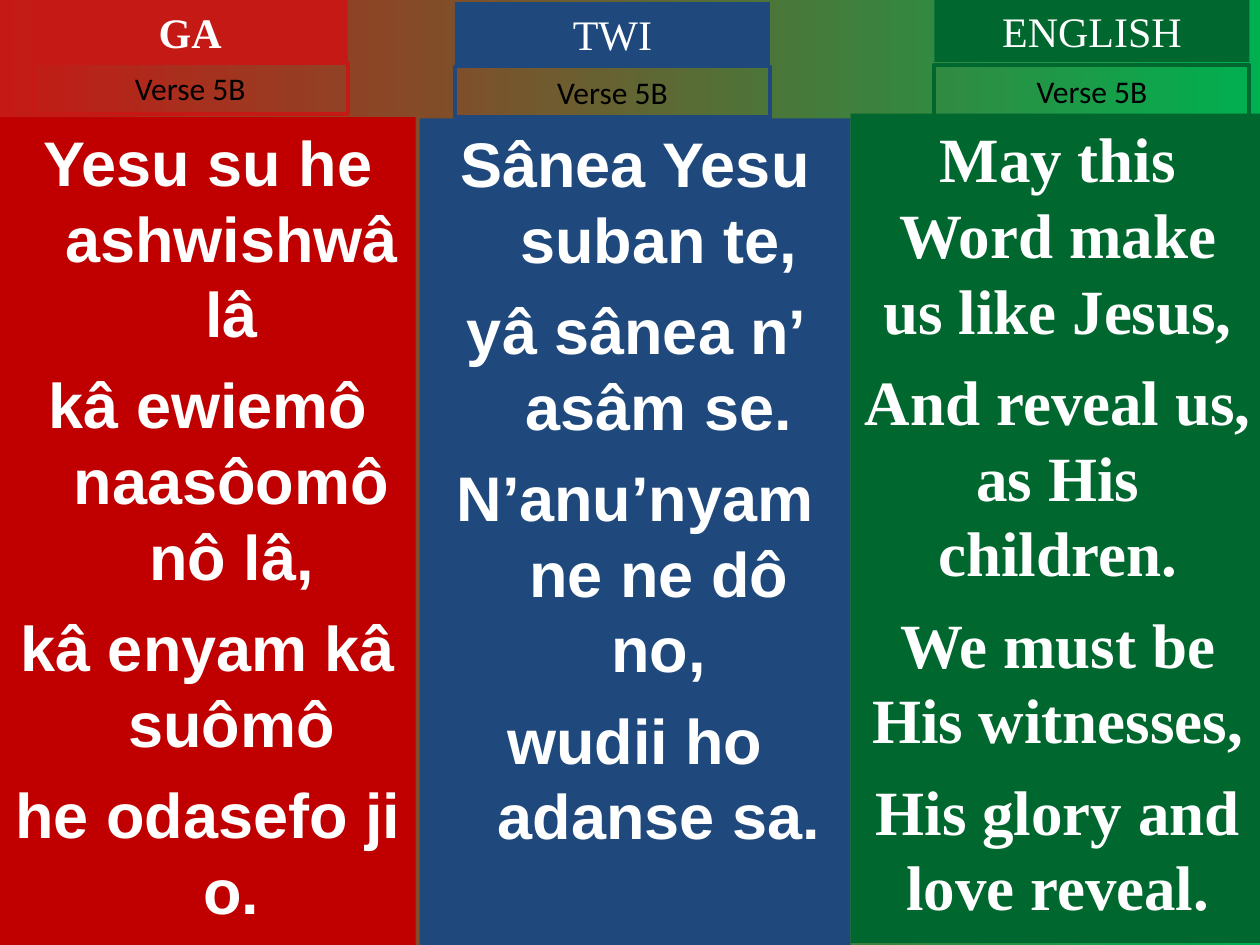
"""Build a hymn slide with one verse in Ga, Twi and English columns."""
from dataclasses import dataclass

from pptx import Presentation
from pptx.dml.color import RGBColor
from pptx.enum.shapes import MSO_SHAPE
from pptx.enum.text import MSO_ANCHOR, MSO_AUTO_SIZE, PP_ALIGN
from pptx.shapes.autoshape import Shape
from pptx.slide import Slide
from pptx.util import Pt

RECTANGLE = MSO_SHAPE.RECTANGLE
TOP = MSO_ANCHOR.TOP
FIT_SHAPE = MSO_AUTO_SIZE.SHAPE_TO_FIT_TEXT
CENTER = PP_ALIGN.CENTER

COLORS = {
    "scarlet": "C51915",
    "red": "C00000",
    "blue": "1F497D",
    "green": "00682F",
    "bright green": "00B050",
    "white": "FFFFFF",
    "black": "000000",
}
BLANK_LAYOUT = 6
LABEL_WIDTH = 180
HEADER_HEIGHT = 36
VERSE_HEIGHT = 29
HANGING_INDENT = 27
VERSE_NAME = "Verse 5B"


@dataclass(frozen=True)
class Box:
    left: float
    top: float
    width: float
    height: float


@dataclass(frozen=True)
class TextStyle:
    font: str
    size: float
    color: str = "white"
    bold: bool = False
    hanging: float = 0
    space_before: float = 0


@dataclass(frozen=True)
class Column:
    language: str
    panel: Box
    panel_color: str
    label_color: str
    label_left: float
    header_top: float
    verse_top: float
    header_style: TextStyle
    lyric_style: TextStyle
    lyrics: tuple[str, ...]


HEADER = TextStyle("Times New Roman", 24)
BOLD_HEADER = TextStyle("Times New Roman", 24, bold=True)
VERSE = TextStyle("Calibri", 18, "black")
HANGING_LYRIC = TextStyle("Arial", 36, "white", True, HANGING_INDENT, 9)
PLAIN_LYRIC = TextStyle("Times New Roman", 36, "white", True, 0, 9)

COLUMNS = (
    Column("GA", Box(0, 67, 237.6, 473), "red", "scarlet", 18.7, 0, 36,
           BOLD_HEADER, HANGING_LYRIC,
           ("Yesu su he ashwishwâ lâ", "kâ ewiemô naasôomô nô lâ,",
            "kâ enyam kâ suômô", "he odasefo ji o.")),
    Column("TWI", Box(239.8, 67.7, 246.2, 472.3), "blue", "blue", 260, 1.2, 38,
           HEADER, HANGING_LYRIC,
           ("Sânea Yesu suban te,", "yâ sânea n’ asâm se.",
            "N’anu’nyam ne ne dô no,", "wudii ho adanse sa.")),
    Column("ENGLISH", Box(486, 65, 236.9, 473.8), "green", "green", 534, -0.6, 37.4,
           HEADER, PLAIN_LYRIC,
           ("May this Word make us like Jesus,", "And reveal us, as His children.",
            "We must be His witnesses,", "His glory and love reveal.")),
)


def rgb(name: str) -> RGBColor:
    """Return the named colour."""
    return RGBColor.from_string(COLORS[name])


def add_box(slide: Slide, box: Box, fill: str | None = None,
            outline: str | None = None) -> Shape:
    """Add a rectangle that is either filled or outlined."""
    shape = slide.shapes.add_shape(
        RECTANGLE, Pt(box.left), Pt(box.top), Pt(box.width), Pt(box.height))
    shape.shadow.inherit = False
    if fill:
        shape.fill.solid()
        shape.fill.fore_color.rgb = rgb(fill)
    else:
        shape.fill.background()
    if outline:
        shape.line.color.rgb = rgb(outline)
        shape.line.width = Pt(2.25)
    else:
        shape.line.fill.background()
    return shape


def write_text(shape: Shape, lines: tuple[str, ...], style: TextStyle) -> None:
    """Write one centred paragraph for each line."""
    frame = shape.text_frame
    frame.word_wrap = True
    frame.vertical_anchor = TOP
    for index, line in enumerate(lines):
        paragraph = frame.add_paragraph() if index else frame.paragraphs[0]
        paragraph.alignment = CENTER
        paragraph.space_before = Pt(style.space_before if index else 0)
        if style.hanging:
            properties = paragraph._p.get_or_add_pPr()
            properties.set("marL", str(Pt(style.hanging)))
            properties.set("indent", str(-Pt(style.hanging)))
        run = paragraph.add_run()
        run.text = line
        run.font.name = style.font
        run.font.size = Pt(style.size)
        run.font.bold = style.bold
        run.font.color.rgb = rgb(style.color)


def draw_column(slide: Slide, column: Column) -> None:
    """Draw the lyrics panel with its language and verse labels."""
    panel = add_box(slide, column.panel, fill=column.panel_color)
    write_text(panel, column.lyrics, column.lyric_style)
    header = add_box(
        slide, Box(column.label_left, column.header_top, LABEL_WIDTH, HEADER_HEIGHT),
        fill=column.label_color)
    write_text(header, (column.language,), column.header_style)
    verse = add_box(
        slide, Box(column.label_left, column.verse_top, LABEL_WIDTH, VERSE_HEIGHT),
        outline=column.label_color)
    write_text(verse, (VERSE_NAME,), VERSE)
    for label in (header, verse):
        label.text_frame.auto_size = FIT_SHAPE


def paint_background(slide: Slide) -> None:
    """Fill the background with a left-to-right gradient."""
    fill = slide.background.fill
    fill.gradient()
    fill.gradient_angle = 0
    for stop, color, position in zip(
            fill.gradient_stops, ("scarlet", "bright green"), (0, 1)):
        stop.color.rgb = rgb(color)
        stop.position = position


def main() -> None:
    """Create and save the presentation."""
    presentation = Presentation()
    presentation.slide_width = Pt(720)
    presentation.slide_height = Pt(540)
    slide = presentation.slides.add_slide(presentation.slide_layouts[BLANK_LAYOUT])
    paint_background(slide)
    for column in COLUMNS:
        draw_column(slide, column)
    presentation.save("out.pptx")


if __name__ == "__main__":
    main()
